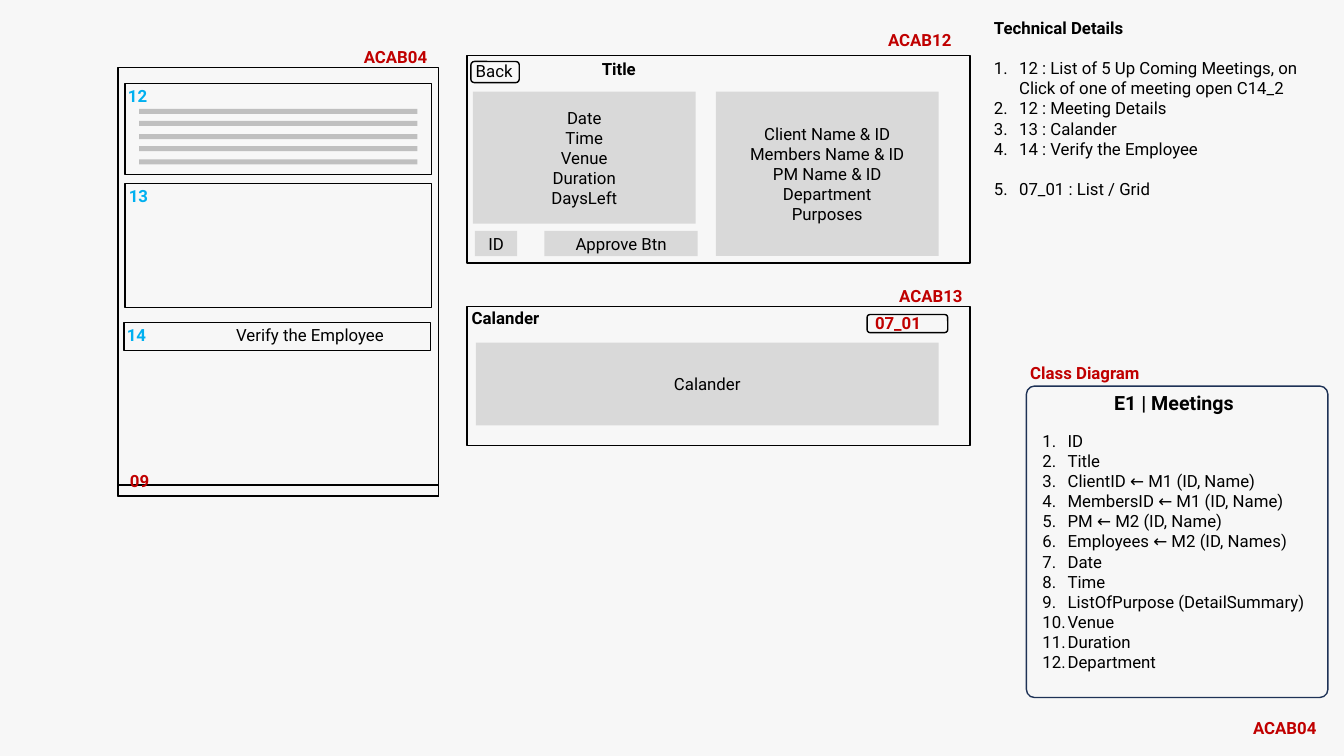
from dataclasses import dataclass
from typing import Any, Optional

from lxml.etree import SubElement
from pptx import Presentation
from pptx.dml.color import RGBColor
from pptx.enum.shapes import MSO_SHAPE as Shape
from pptx.enum.text import MSO_ANCHOR as Anchor, PP_ALIGN as Align
from pptx.oxml.ns import qn
from pptx.util import Emu, Pt

SCALE = 9144
BLACK = RGBColor(0x00, 0x00, 0x00)
RED = RGBColor(0xC0, 0x00, 0x00)
BLUE = RGBColor(0x00, 0xB0, 0xF0)
NAVY = RGBColor(0x1E, 0x32, 0x56)
PALE = RGBColor(0xF7, 0xF7, 0xF7)
GREY = RGBColor(0xD9, 0xD9, 0xD9)
DARK = RGBColor(0xBF, 0xBF, 0xBF)


@dataclass
class Box:
    left: int
    top: int
    wide: int
    high: int
    fill: Optional[RGBColor] = None
    line: Optional[RGBColor] = BLACK
    kind: Any = Shape.RECTANGLE
    round: Optional[float] = None
    rows: tuple[str, ...] = ()


@dataclass
class Note:
    left: int
    top: int
    wide: int
    text: str
    color: RGBColor = BLACK
    bold: bool = True
    size: int = 12
    align: Any = Align.LEFT
    high: int = 30


@dataclass
class Steps:
    left: int
    top: int
    wide: int
    high: int
    rows: tuple[str, ...]
    head: str = ""
    gaps: tuple[int, ...] = ()


def px(num: int) -> Emu:
    return Emu(num * SCALE)


def style(item: Any, form: dict[str, Any]) -> None:
    for name, value in form.items():
        setattr(item, name, value)


def write(para: Any, text: str, color: RGBColor = BLACK, bold: bool = False,
          size: int = 12, align: Any = Align.LEFT) -> None:
    para.alignment = align
    run = para.add_run()
    run.text = text
    style(run.font, {"name": "Roboto", "size": Pt(size), "bold": bold})
    run.font.color.rgb = color


def add_para(frame: Any, first: bool) -> Any:
    return frame.paragraphs[0] if first else frame.add_paragraph()


def add_frame(slide: Any, item: Note | Steps) -> Any:
    area = map(px, (item.left, item.top, item.wide, item.high))
    frame = slide.shapes.add_textbox(*area).text_frame
    frame.word_wrap = True
    return frame


def draw_box(slide: Any, box: Box) -> None:
    area = map(px, (box.left, box.top, box.wide, box.high))
    shape = slide.shapes.add_shape(box.kind, *area)
    shape.shadow.inherit = False
    if box.round is not None:
        shape.adjustments[0] = box.round
    if box.fill is None:
        shape.fill.background()
    else:
        shape.fill.solid()
        shape.fill.fore_color.rgb = box.fill
    if box.line is None:
        shape.line.fill.background()
    else:
        shape.line.color.rgb = box.line
        shape.line.width = Pt(1)
    frame = shape.text_frame
    style(frame, {"word_wrap": True, "vertical_anchor": Anchor.MIDDLE})
    for num, row in enumerate(box.rows):
        write(add_para(frame, num == 0), row, align=Align.CENTER)


def draw_note(slide: Any, note: Note) -> None:
    para = add_frame(slide, note).paragraphs[0]
    write(para, note.text, note.color, note.bold, note.size, note.align)


def draw_steps(slide: Any, steps: Steps) -> None:
    frame = add_frame(slide, steps)
    if steps.head:
        write(frame.paragraphs[0], steps.head, bold=True)
    for num, row in enumerate(steps.rows):
        para = add_para(frame, num == 0 and not steps.head)
        write(para, row)
        if num in steps.gaps:
            para.space_before = Pt(14)
        props = para._p.get_or_add_pPr()
        props.set("marL", str(px(25)))
        props.set("indent", str(px(-25)))
        SubElement(props, qn("a:buFont"), typeface="+mj-lt")
        SubElement(props, qn("a:buAutoNum"), type="arabicPeriod")


PILL = Shape.ROUNDED_RECTANGLE

BOXES = [
    Box(117, 67, 318, 425),
    Box(117, 481, 318, 11),
    Box(124, 83, 304, 90),
    Box(124, 182, 304, 123),
    Box(123, 320, 304, 28),
    *(Box(138, 108 + num * 25 // 2, 276, 5, DARK, None) for num in range(5)),
    Box(463, 55, 499, 206),
    Box(467, 61, 48, 21, kind=PILL),
    Box(471, 229, 42, 25, GREY, None, rows=("ID",)),
    Box(469, 91, 221, 131, GREY, None,
        rows=("Date", "Time", "Venue", "Duration", "DaysLeft")),
    Box(540, 229, 152, 25, GREY, None, rows=("Approve Btn",)),
    Box(710, 91, 221, 163, GREY, None,
        rows=("Client Name & ID", "Members Name & ID", "PM Name & ID",
              "Department", "Purposes")),
    Box(463, 304, 499, 138),
    Box(860, 312, 80, 18, kind=PILL),
    Box(472, 340, 459, 82, GREY, None, rows=("Calander",)),
    Box(1018, 383, 299, 309, line=NAVY, kind=PILL, round=0.027),
]

NOTES = [
    Note(351, 41, 98, "ACAB04", RED),
    Note(871, 25, 98, "ACAB12", RED),
    Note(882, 279, 98, "ACAB13", RED),
    Note(1233, 707, 89, "ACAB04", RED),
    Note(119, 462, 79, "09", RED),
    Note(858, 305, 109, "07_01", RED),
    Note(1012, 355, 263, "Class Diagram", RED),
    Note(117, 80, 79, "12", BLUE),
    Note(118, 179, 79, "13", BLUE),
    Note(116, 317, 79, "14", BLUE),
    Note(182, 317, 251, "Verify the Employee", bold=False, align=Align.CENTER),
    Note(462, 55, 64, "Back", bold=False),
    Note(587, 53, 59, "Title"),
    Note(458, 300, 109, "Calander"),
    Note(1033, 383, 263, "E1 | Meetings", size=14, align=Align.CENTER, high=34),
]

LISTS = [
    Steps(976, 13, 347, 212, (
        "12 : List of 5 Up Coming Meetings, on Click of one of meeting open C14_2",
        "12 : Meeting Details", "13 : Calander", "14 : Verify the Employee",
        "07_01 : List / Grid"), head="Technical Details", gaps=(0, 4)),
    Steps(1024, 422, 299, 252, (
        "ID", "Title", "ClientID ← M1 (ID, Name)", "MembersID ← M1 (ID, Name)",
        "PM ← M2 (ID, Name)", "Employees ← M2 (ID, Names)", "Date", "Time",
        "ListOfPurpose (DetailSummary)", "Venue", "Duration", "Department")),
]


def main() -> None:
    deck = Presentation()
    style(deck, {"slide_width": px(1333), "slide_height": px(750)})
    slide = deck.slides.add_slide(deck.slide_layouts[6])
    slide.background.fill.solid()
    slide.background.fill.fore_color.rgb = PALE
    for box in BOXES:
        draw_box(slide, box)
    for note in NOTES:
        draw_note(slide, note)
    for steps in LISTS:
        draw_steps(slide, steps)
    deck.save("out.pptx")


if __name__ == "__main__":
    main()
